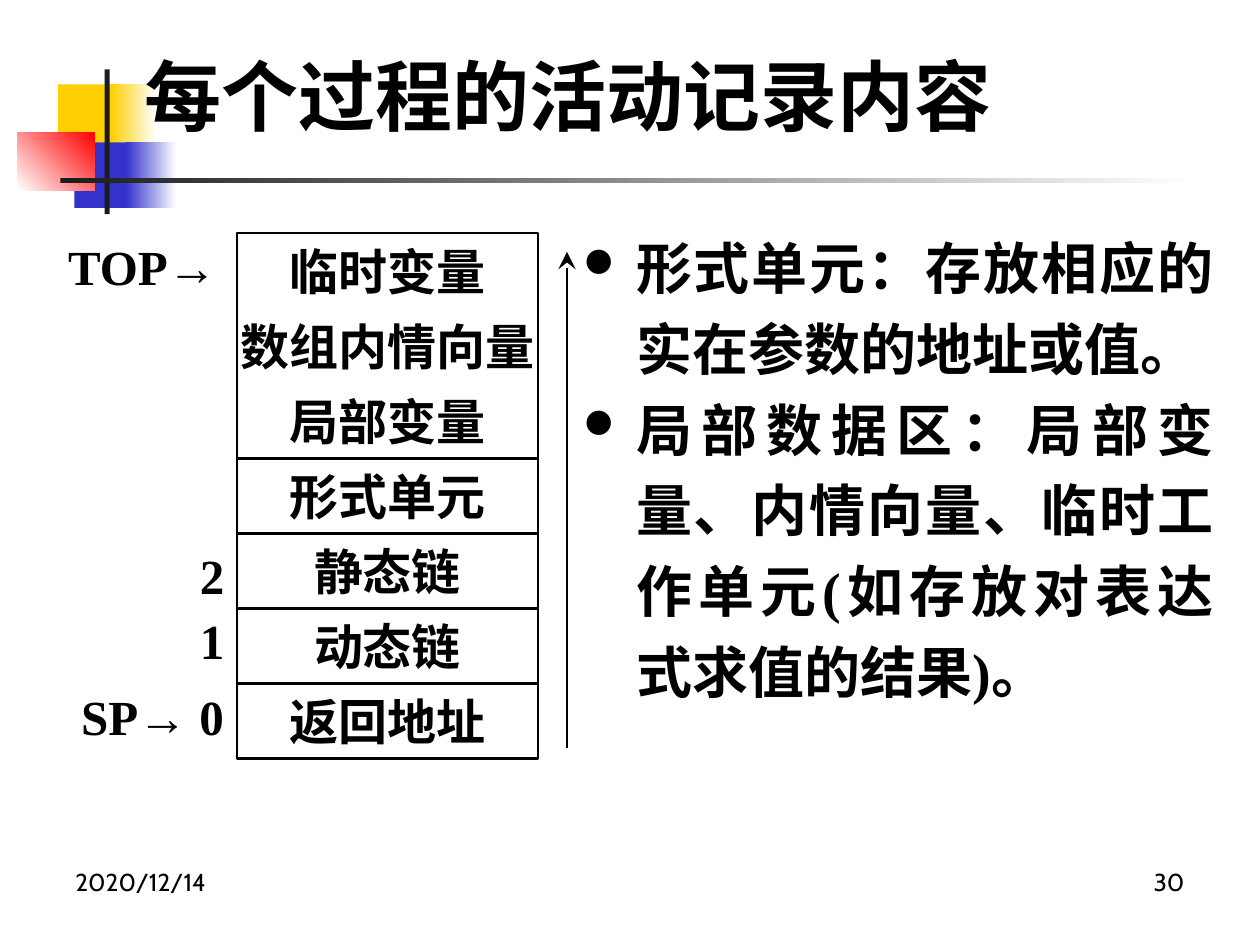
from lxml import etree
from pptx import Presentation
from pptx.dml.color import RGBColor
from pptx.enum.shapes import MSO_CONNECTOR, MSO_SHAPE
from pptx.enum.text import MSO_ANCHOR, PP_ALIGN
from pptx.oxml.ns import qn
from pptx.util import Inches, Pt

BLACK = RGBColor(0x00, 0x00, 0x00)
WHITE = RGBColor(0xFF, 0xFF, 0xFF)
YELLOW = RGBColor(0xFF, 0xCF, 0x01)
BLUE = RGBColor(0x33, 0x33, 0xCC)
RED = RGBColor(0xFF, 0x00, 0x00)
DARK = RGBColor(0x1C, 0x1C, 0x1C)
SERIF, SANS = "Times New Roman", "Cabin"

# box, colours (one is solid, two make a gradient), gradient angle
DECORATION = [
    ((0.46, 0.67, 0.48, 0.52), [YELLOW], 0),
    ((0.88, 0.67, 0.36, 0.52), [YELLOW, WHITE], 0),
    ((0.59, 1.13, 0.46, 0.52), [BLUE], 0),
    ((1, 1.13, 0.4, 0.52), [BLUE, WHITE], 0),
    ((0.14, 1.05, 0.61, 0.46), [WHITE, RED], 45),
    ((0.83, 0.55, 0.04, 1.15), [DARK], 0),
    ((0.48, 1.41, 9, 0.04), [DARK, WHITE], 0),
]
TITLE = "每个过程的活动记录内容"
NOTES = [
    "形式单元：存放相应的实在参数的地址或值。",
    "局部数据区：局部变量、内情向量、临时工作单元(如存放对表达式求值的结果)。",
]
# top to bottom; the local data rows share one frame
LOCAL_DATA = ["临时变量", "数组内情向量", "局部变量"]
FRAMED = ["形式单元", "静态链", "动态链", "返回地址"]
POINTERS = [
    ("TOP→", 0.53, 1.85, 1.2, PP_ALIGN.CENTER),
    ("2", 1.25, 4.3, 0.53, PP_ALIGN.RIGHT),
    ("1", 1.25, 4.82, 0.53, PP_ALIGN.RIGHT),
    ("SP→ 0", 0.61, 5.42, 1.2, PP_ALIGN.CENTER),
]
FOOTERS = [("2020/12/14", 0.5, PP_ALIGN.LEFT), ("30", 7.17, PP_ALIGN.RIGHT)]
STACK_X, STACK_Y, STACK_W, STACK_H = 1.88, 1.85, 2.39, 4.17
ROW_H = STACK_H / len(LOCAL_DATA + FRAMED)
ARROW_X, ARROW_BOTTOM, ARROW_TOP = 4.5, 5.94, 2

prs = Presentation()
prs.slide_width, prs.slide_height = Inches(10), Inches(7.5)
s = prs.slides.add_slide(prs.slide_layouts[6])


def add_rect(box):
    sp = s.shapes.add_shape(MSO_SHAPE.RECTANGLE, *map(Inches, box))
    sp.shadow.inherit = False
    return sp


def add_decoration(box, colors, angle):
    sp = add_rect(box)
    sp.line.fill.background()
    if len(colors) == 1:
        sp.fill.solid()
        sp.fill.fore_color.rgb = colors[0]
        return
    sp.fill.gradient()
    sp.fill.gradient_angle = angle
    for stop, color in zip(sp.fill.gradient_stops, colors):
        stop.color.rgb = color


def add_frame(box):
    sp = add_rect(box)
    sp.fill.background()
    sp.line.color.rgb = BLACK
    sp.line.width = Pt(1.5)


def add_run(p, text, size, font=SERIF, bold=True):
    r = p.add_run()
    r.text = text
    r.font.size, r.font.name, r.font.bold = Pt(size), font, bold
    r.font.color.rgb = BLACK


def add_text(box, text, size, align, anchor=MSO_ANCHOR.MIDDLE, **style):
    tf = s.shapes.add_textbox(*map(Inches, box)).text_frame
    tf.word_wrap, tf.vertical_anchor = True, anchor
    p = tf.paragraphs[0]
    p.alignment = align
    add_run(p, text, size, **style)
    return tf


def add_label(box, text, align):
    """Add a one-line label that uses the full width of its box."""
    tf = add_text(box, text, 28, align)
    tf.word_wrap = False
    tf.margin_left = tf.margin_right = 0


def set_bullet(p):
    pPr = p._p.get_or_add_pPr()
    pPr.set("marL", str(Inches(0.42)))
    pPr.set("indent", str(-Inches(0.42)))
    pPr.set("hangingPunct", "0")
    color = etree.SubElement(pPr, qn("a:buClr"))
    etree.SubElement(color, qn("a:srgbClr"), val=str(BLACK))
    etree.SubElement(pPr, qn("a:buSzPct"), val="75000")
    # the letter l is a filled circle in Wingdings
    etree.SubElement(pPr, qn("a:buFont"), typeface="Wingdings", charset="2")
    etree.SubElement(pPr, qn("a:buChar"), char="l")


def add_notes(box, notes):
    tf = s.shapes.add_textbox(*map(Inches, box)).text_frame
    tf.word_wrap = True
    for i, note in enumerate(notes):
        p = tf.add_paragraph() if i else tf.paragraphs[0]
        set_bullet(p)
        p.alignment = PP_ALIGN.JUSTIFY
        p.line_spacing = 1.2
        add_run(p, note, 32)


def add_growth_arrow():
    line = s.shapes.add_connector(
        MSO_CONNECTOR.STRAIGHT, Inches(ARROW_X), Inches(ARROW_BOTTOM),
        Inches(ARROW_X), Inches(ARROW_TOP))
    line.line.color.rgb = BLACK
    line.line.width = Pt(1.5)
    etree.SubElement(line.line._get_or_add_ln(), qn("a:tailEnd"),
                     type="stealth", w="lg", len="lg")
    etree.SubElement(line._element.spPr, qn("a:effectLst"))


for decoration in DECORATION:
    add_decoration(*decoration)
add_text((1.05, 0.13, 7.1, 1.25), TITLE, 44, PP_ALIGN.LEFT)
for text, x, align in FOOTERS:
    add_text((x, 6.83, 2.33, 0.52), text, 14, align,
             anchor=MSO_ANCHOR.TOP, font=SANS, bold=False)
add_notes((4.53, 1.7, 5.2, 4.68), NOTES)

add_frame((STACK_X, STACK_Y, STACK_W, ROW_H * len(LOCAL_DATA)))
for i, label in enumerate(LOCAL_DATA + FRAMED):
    row = (STACK_X, STACK_Y + i * ROW_H, STACK_W, ROW_H)
    if label in FRAMED:
        add_frame(row)
    add_label(row, label, PP_ALIGN.CENTER)
for text, x, y, w, align in POINTERS:
    add_label((x, y, w, 0.52), text, align)
add_growth_arrow()

prs.save("out.pptx")
